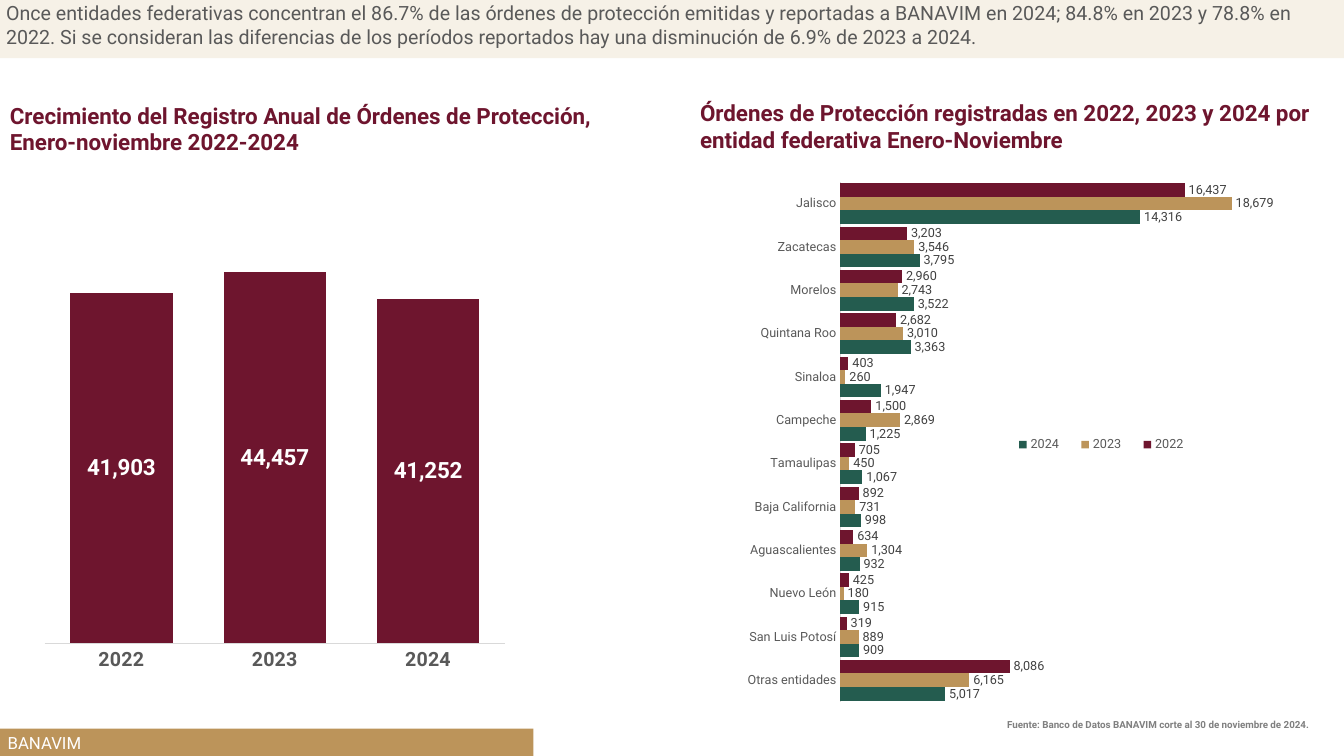
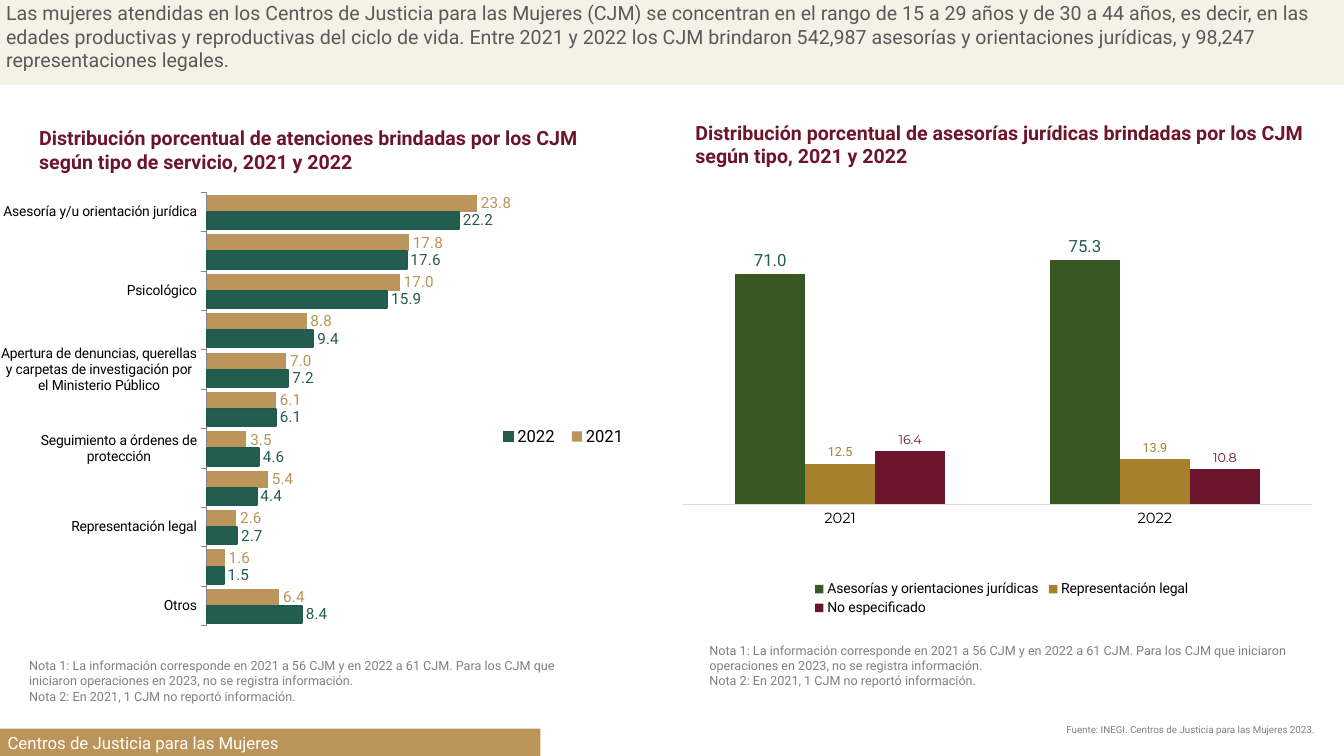
"""Two slides on protection orders and women's justice centres, with bar charts."""
from lxml import etree
from pptx import Presentation
from pptx.chart.data import CategoryChartData
from pptx.dml.color import RGBColor
from pptx.enum import chart as ch, shapes, text
from pptx.oxml import parse_xml
from pptx.oxml.ns import nsdecls, qn
from pptx.util import Pt

WINE, GOLD, GREEN = "6E152E", "BC945A", "245C4F"
GREY, LABEL_GREY, NOTE_GREY, RULE = "595959", "404040", "808080", "D9D9D9"
BLACK, WHITE, CREAM = "000000", "FFFFFF", "DEC9A2"
FONT, ALT_FONT = "Roboto", "Montserrat"
LEFT, RIGHT = text.PP_ALIGN.LEFT, text.PP_ALIGN.RIGHT


def style(font, size, color, bold=False, name=FONT):
    font.size, font.bold, font.name = Pt(size), bold, name
    font.color.rgb = RGBColor.from_string(color)


def write(frame, lines, size, color, bold=False, align=LEFT):
    frame.word_wrap = True
    frame.auto_size = text.MSO_AUTO_SIZE.NONE
    for number, line in enumerate(lines):
        paragraph = frame.add_paragraph() if number else frame.paragraphs[0]
        paragraph.alignment = align
        run = paragraph.add_run()
        run.text = line
        style(run.font, size, color, bold)


notes = [
    "Nota 1: La información corresponde en 2021 a 56 CJM y en 2022 a 61 CJM. "
    "Para los CJM que iniciaron operaciones en 2023, no se registra información.",
    "Nota 2: En 2021, 1 CJM no reportó información.",
]

annual_growth = dict(
    kind=ch.XL_CHART_TYPE.COLUMN_STACKED, box=(20.9, 146.2, 345.6, 343.4),
    plot=(0.032, 0.044, 0.951, 0.869), gap=50, limits=(0, None), format="#,##0",
    axis=(14, GREY, True), rule=RULE,
    categories=["2022", "2023", "2024"],
    series=[("Series 1", [41903, 44457, 41252], WINE, (16, WHITE, True)),
            ("Series 2", [None, None, None], "ED7D31", (9, LABEL_GREY, False, ALT_FONT))],
)
orders_by_state = dict(
    kind=ch.XL_CHART_TYPE.BAR_CLUSTERED, box=(493.2, 129.6, 434.9, 372.2),
    plot=(0.246, 0, 0.689, 1), gap=19, limits=(10, None), format="#,##0",
    axis=(9, GREY), rule=RULE,
    legend=(ch.XL_LEGEND_POSITION.BOTTOM, (0.51, 0.48, 0.33, 0.05), 9, GREY),
    categories=["Jalisco", "Zacatecas", "Morelos", "Quintana Roo", "Sinaloa", "Campeche",
                "Tamaulipas", "Baja California", "Aguascalientes", "Nuevo León",
                "San Luis Potosí", "Otras entidades"],
    series=[
        ("2022", [16437, 3203, 2960, 2682, 403, 1500, 705, 892, 634, 425, 319, 8086],
         WINE, (9, LABEL_GREY)),
        ("2023", [18679, 3546, 2743, 3010, 260, 2869, 450, 731, 1304, 180, 889, 6165],
         GOLD, (9, LABEL_GREY)),
        ("2024", [14316, 3795, 3522, 3363, 1947, 1225, 1067, 998, 932, 915, 909, 5017],
         GREEN, (9, LABEL_GREY)),
    ],
)
services = dict(
    kind=ch.XL_CHART_TYPE.BAR_CLUSTERED, box=(0.7, 136.8, 471.6, 318.2),
    plot=(0.303, 0.002, 0.697, 0.973), gap=30, limits=(0, 40), format="#,##0.0",
    axis=(10, BLACK), rule="868686", tick=ch.XL_TICK_MARK.OUTSIDE,
    legend=(ch.XL_LEGEND_POSITION.RIGHT, (0.74, 0.52, 0.22, 0.06), 12, BLACK),
    outlines={"2022": "1F5B4E"},
    categories=["Asesoría y/u orientación jurídica", "Trabajo social", "Psicológico",
                "Seguimiento a servicios brindados o atención previa",
                "Apertura de denuncias, querellas y carpetas de investigación "
                "por el Ministerio Público",
                "Educacional y lúdica", "Seguimiento a órdenes de protección", "Médico",
                "Representación legal", "Atención a hijos e hijas de la usuaria", "Otros"],
    series=[
        ("2021", [23.8, 17.8, 17, 8.8, 7, 6.1, 3.5, 5.4, 2.6, 1.6, 6.4],
         "BC955C", (11, GOLD)),
        ("2022", [22.2, 17.6, 15.9, 9.4, 7.2, 6.1, 4.6, 4.4, 2.7, 1.5, 8.4],
         GREEN, (11, GREEN)),
    ],
)
legal_advice = dict(
    kind=ch.XL_CHART_TYPE.COLUMN_CLUSTERED, box=(487.4, 151.2, 451.4, 290.9),
    plot=(0, 0.003, 0.997, 0.716), gap=150, limits=(0, 90), format="0.0",
    axis=(10.5, BLACK, False, ALT_FONT), rule=RULE,
    legend=(ch.XL_LEGEND_POSITION.BOTTOM, (0.2, 0.9, 0.61, 0.1), 10, BLACK),
    categories=["2021", "2022"],
    series=[
        ("Asesorías y orientaciones jurídicas", [71, 75.3], "385723", (12, GREEN)),
        ("Representación legal", [12.5, 13.9], "A7802D", (9, "A7802D")),
        ("No especificado", [16.4, 10.8], WINE, (9, WINE, False, ALT_FONT)),
    ],
)

pages = [
    dict(
        message="Once entidades federativas concentran el 86.7% de las órdenes de protección "
                "emitidas y reportadas a BANAVIM en 2024; 84.8% en 2023 y 78.8% en 2022. Si se "
                "consideran las diferencias de los períodos reportados hay una disminución de "
                "6.9% de 2023 a 2024.",
        band_height=43, section="BANAVIM", section_width=381,
        texts=[
            ((0, 69.1, 460.8, 46), ["Crecimiento del Registro Anual de Órdenes de Protección,",
                                    "Enero-noviembre 2022-2024"], 16, WINE, True),
            ((493, 67.4, 453.6, 46), ["Órdenes de Protección registradas en 2022, 2023 y 2024 "
                                      "por entidad federativa Enero-Noviembre"], 16, WINE, True),
            ((649, 509.8, 293, 15.8), ["Fuente: Banco de Datos BANAVIM corte al 30 de "
                                       "noviembre de 2024."], 7, NOTE_GREY, True, RIGHT),
        ],
        charts=[annual_growth, orders_by_state],
    ),
    dict(
        message="Las mujeres atendidas en los Centros de Justicia para las Mujeres (CJM) se "
                "concentran en el rango de 15 a 29 años y de 30 a 44 años, es decir, en las "
                "edades productivas y reproductivas del ciclo de vida. Entre 2021 y 2022 los CJM "
                "brindaron 542,987 asesorías y orientaciones jurídicas, y 98,247 "
                "representaciones legales.",
        band_height=62, section="Centros de Justicia para las Mujeres", section_width=386,
        texts=[
            ((20.9, 86.4, 420.5, 41), ["Distribución porcentual de atenciones brindadas por los "
                                       "CJM según tipo de servicio, 2021 y 2022"], 14, WINE, True),
            ((489.6, 82.8, 451.4, 41), ["Distribución porcentual de asesorías jurídicas brindadas "
                                        "por los CJM según tipo, 2021 y 2022"], 14, WINE, True),
            ((13.7, 466.6, 400, 40.3), notes, 9, NOTE_GREY),
            ((499.7, 455.8, 429.8, 40.3), notes, 9, NOTE_GREY),
            ((613.4, 513.4, 332.6, 15.8), ["Fuente: INEGI. Centros de Justicia para las Mujeres "
                                           "2023."], 7, NOTE_GREY, False, RIGHT),
        ],
        charts=[services, legal_advice],
    ),
]

deck = Presentation()
deck.slide_width, deck.slide_height = Pt(960), Pt(540)

for page in pages:
    slide = deck.slides.add_slide(deck.slide_layouts[5])

    message = slide.shapes.title
    message.left, message.top = Pt(0), Pt(-1.4)
    message.width, message.height = Pt(960), Pt(page["band_height"])
    message.fill.solid()
    message.fill.fore_color.rgb = RGBColor.from_string(CREAM)
    cream = message._element.spPr.xpath(".//a:srgbClr")[0]
    etree.SubElement(cream, qn("a:alpha"), val="25000")
    frame = message.text_frame
    frame.vertical_anchor = text.MSO_ANCHOR.TOP
    frame.margin_left = frame.margin_right = Pt(4.3)
    frame.margin_top = frame.margin_bottom = Pt(2.2)
    write(frame, [page["message"]], 14, GREY)

    section = slide.shapes.add_shape(shapes.MSO_SHAPE.RECTANGLE, Pt(0), Pt(520.5),
                                     Pt(page["section_width"]), Pt(20))
    section.shadow.inherit = False
    section.fill.solid()
    section.fill.fore_color.rgb = RGBColor.from_string(GOLD)
    section.line.fill.background()
    frame = section.text_frame
    frame.vertical_anchor = text.MSO_ANCHOR.MIDDLE
    frame.margin_left = frame.margin_right = Pt(5.4)
    frame.margin_top = frame.margin_bottom = Pt(2.9)
    write(frame, [page["section"]], 12, WHITE)

    for box, lines, *look in page["texts"]:
        caption = slide.shapes.add_textbox(*map(Pt, box))
        write(caption.text_frame, lines, *look)

    for plan in page["charts"]:
        data = CategoryChartData(number_format=plan["format"])
        data.categories = plan["categories"]
        for name, values, *_ in plan["series"]:
            data.add_series(name, values)
        kind = plan["kind"]
        chart = slide.shapes.add_chart(kind, *map(Pt, plan["box"]), data).chart
        chart.has_title = False
        style(chart.font, 10, BLACK)

        years_or_places = chart.category_axis
        years_or_places.reverse_order = kind == ch.XL_CHART_TYPE.BAR_CLUSTERED
        years_or_places.major_tick_mark = plan.get("tick", ch.XL_TICK_MARK.NONE)
        years_or_places.format.line.width = Pt(0.75)
        years_or_places.format.line.color.rgb = RGBColor.from_string(plan["rule"])
        style(years_or_places.tick_labels.font, *plan["axis"])
        every_label = parse_xml(f'<c:tickLblSkip {nsdecls("c")} val="1"/>')
        years_or_places._element.find(qn("c:noMultiLvlLbl")).addprevious(every_label)

        scale = chart.value_axis
        scale.minimum_scale, scale.maximum_scale = plan["limits"]
        scale.has_major_gridlines = False
        scale.visible = False

        bars = chart.plots[0]
        bars.gap_width = plan["gap"]
        bars.vary_by_categories = False
        stacked = kind == ch.XL_CHART_TYPE.COLUMN_STACKED
        bars.overlap = 100 if stacked else 0
        for series, (name, _, color, label_look) in zip(bars.series, plan["series"]):
            series.invert_if_negative = False
            series.format.fill.solid()
            series.format.fill.fore_color.rgb = RGBColor.from_string(color)
            outline = plan.get("outlines", {}).get(name)
            if outline:
                series.format.line.width = Pt(1.5)
                series.format.line.color.rgb = RGBColor.from_string(outline)
            labels = series.data_labels
            labels.show_value = True
            labels.number_format = plan["format"]
            labels.number_format_is_linked = False
            labels.position = (ch.XL_LABEL_POSITION.CENTER if stacked
                               else ch.XL_LABEL_POSITION.OUTSIDE_END)
            style(labels.font, *label_look)

        plot_area = chart._chartSpace.xpath(".//c:plotArea")[0]
        placements = [(plot_area, 0, plan["plot"], '<c:layoutTarget val="inner"/>')]
        chart.has_legend = "legend" in plan
        if chart.has_legend:
            position, area, *look = plan["legend"]
            chart.legend.position = position
            chart.legend.include_in_layout = False
            style(chart.legend.font, *look)
            placements.append((chart.legend._element, 1, area, ""))
        for part, index, area, target in placements:
            for old in part.findall(qn("c:layout")):
                part.remove(old)
            modes = "".join(f'<c:{side}Mode val="edge"/>' for side in "xy")
            sizes = "".join(f'<c:{side} val="{size}"/>' for side, size in zip("xywh", area))
            part.insert(index, parse_xml(
                f'<c:layout {nsdecls("c")}><c:manualLayout>{target}{modes}{sizes}'
                '</c:manualLayout></c:layout>'))

deck.save("out.pptx")
